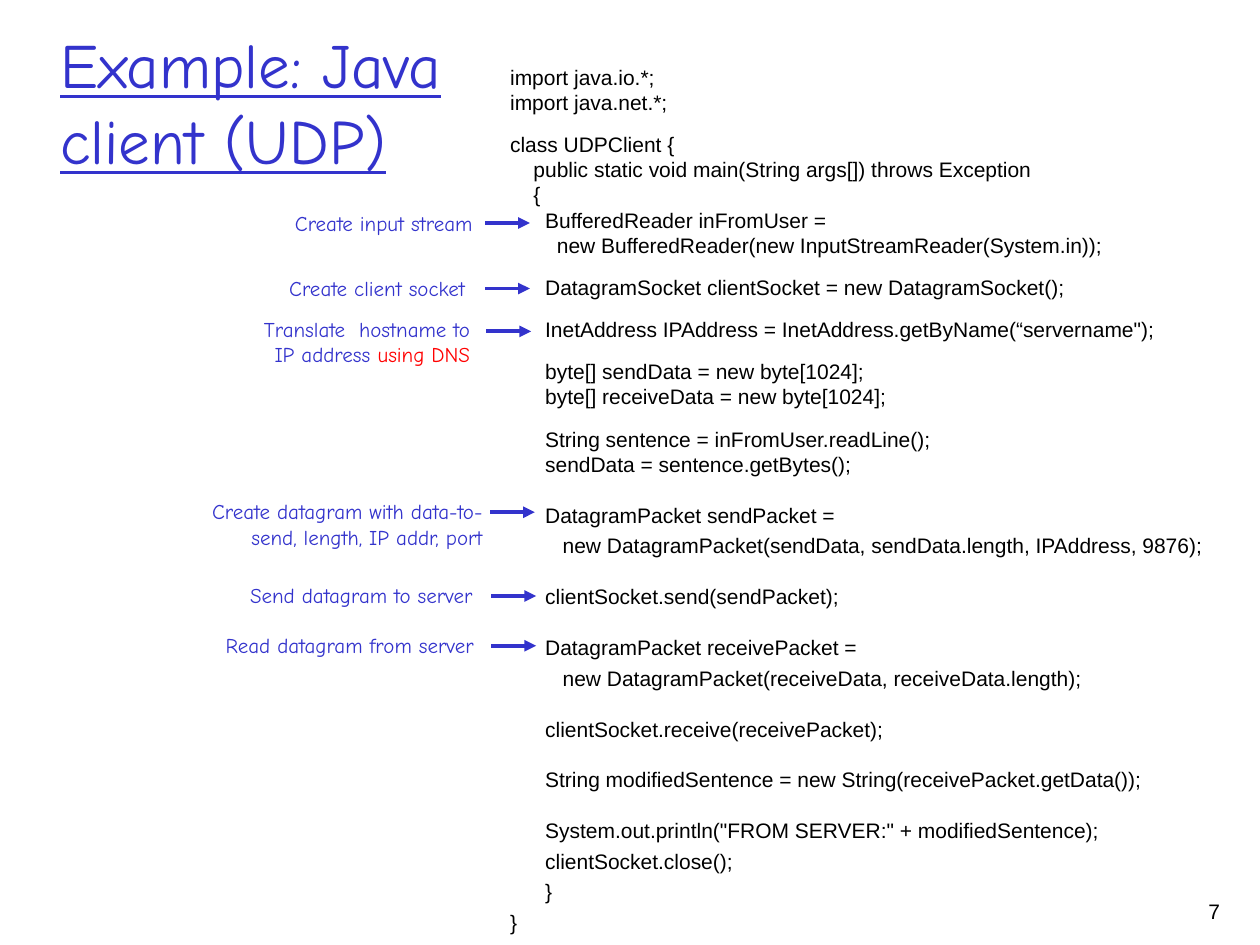
from dataclasses import dataclass

from lxml.etree import SubElement
from pptx import Presentation
from pptx.dml.color import RGBColor
from pptx.enum.shapes import MSO_CONNECTOR
from pptx.enum.text import MSO_ANCHOR, MSO_AUTO_SIZE, PP_ALIGN
from pptx.oxml.ns import qn
from pptx.util import Inches, Pt

BLUE, RED, BLACK = "3333CC", "FF0000", "000000"
COMIC, ARIAL = "Comic Neue", "Arial"
COLS, ROWS = 100, 75
SIZE = 12          # text size of code and notes
LEAD = 14.4        # line pitch of the code
SPACE = 3.34       # width of one space of indent

# The code up to the first send is set tight, the rest is set loose.
TIGHT = """import java.io.*;
import java.net.*;

class UDPClient {
    public static void main(String args[]) throws Exception
    {
      BufferedReader inFromUser =
        new BufferedReader(new InputStreamReader(System.in));

      DatagramSocket clientSocket = new DatagramSocket();

      InetAddress IPAddress = InetAddress.getByName(“servername");

      byte[] sendData = new byte[1024];
      byte[] receiveData = new byte[1024];

      String sentence = inFromUser.readLine();
      sendData = sentence.getBytes();"""

LOOSE = """
      DatagramPacket sendPacket =
         new DatagramPacket(sendData, sendData.length, IPAddress, 9876);

      clientSocket.send(sendPacket);

      DatagramPacket receivePacket =
         new DatagramPacket(receiveData, receiveData.length);

      clientSocket.receive(receivePacket);

      String modifiedSentence = new String(receivePacket.getData());

      System.out.println("FROM SERVER:" + modifiedSentence);
      clientSocket.close();
      }
}"""


@dataclass
class Box:
    col: float
    row: float
    wide: float
    high: float


@dataclass
class Note:
    lines: list[str]
    box: Box
    start: float       # column where the arrow starts
    row: float         # row of the arrow
    wrap: bool = False
    hot: str = ""      # closing words set in red


NOTES = [
    Note(["Create input stream"], Box(19.8, 16.2, 18.7, 3), 38.5, 17.7, True),
    Note(["Create client socket"], Box(21.8, 21.4, 16.1, 3), 38.5, 22.9),
    Note(["Translate  hostname to", "IP address "], Box(19.8, 24.6, 18.5, 5),
         38.6, 26.3, hot="using DNS"),
    Note(["Create datagram with data-to-send, length, IP addr, port"],
         Box(13.1, 39.1, 26.2, 5), 38.9, 40.65, True),
    Note(["Send datagram to server"], Box(18.7, 45.7, 19.8, 3), 39, 47.3),
    Note(["Read datagram from server"], Box(16.7, 49.7, 21.9, 3), 39, 51.25),
]
REACH = 3.55           # columns that each arrow spans

deck = Presentation()
deck.slide_width, deck.slide_height = Inches(10), Inches(7.5)
slide = deck.slides.add_slide(deck.slide_layouts[6])


def across(cols: float) -> int:
    return round(deck.slide_width * cols / COLS)


def down(rows: float) -> int:
    return round(deck.slide_height * rows / ROWS)


def paint(color, code: str) -> None:
    color.rgb = RGBColor.from_string(code)


def style(run, face: str, code: str, size: float = SIZE) -> None:
    run.font.name, run.font.size = face, Pt(size)
    paint(run.font.color, code)


def write(text: str, box: Box, face: str, code: str, size: float = SIZE,
          align=PP_ALIGN.LEFT, anchor=MSO_ANCHOR.MIDDLE):
    shape = slide.shapes.add_textbox(across(box.col), down(box.row),
                                     across(box.wide), down(box.high))
    frame = shape.text_frame
    frame.word_wrap, frame.vertical_anchor = True, anchor
    frame.text = text
    for para in frame.paragraphs:
        para.alignment = align
        for run in para.runs:
            style(run, face, code, size)
    return shape


def listing(box: Box) -> None:
    """Turn leading spaces into indents and empty lines into space before."""
    rows = []
    gap = 0
    for part, extra, blank in ((TIGHT, 0, 9.7), (LOOSE, 3, 11.7)):
        for line in part.split("\n"):
            if not line:
                gap = blank
                continue
            body = line.lstrip()
            rows.append((body, len(line) - len(body), gap + extra))
            gap = 0
    shape = write("\n".join(body for body, _, _ in rows), box, ARIAL, BLACK,
                  anchor=MSO_ANCHOR.TOP)
    for para, (_, depth, before) in zip(shape.text_frame.paragraphs, rows):
        para.line_spacing, para.space_before = Pt(LEAD), Pt(before)
        props = para._p.get_or_add_pPr()
        props.set("marL", str(Pt(depth * SPACE)))
        props.set("indent", "0")


def arrow(note: Note, shape) -> None:
    line = slide.shapes.add_connector(
        MSO_CONNECTOR.STRAIGHT, across(note.start), down(note.row),
        across(note.start + REACH), down(note.row))
    box = note.box
    gap = abs(box.col + box.wide - note.start)
    if gap < 0.01 and abs(box.row + box.high / 2 - note.row) < 0.01:
        line.begin_connect(shape, 3)
    paint(line.line.color, BLUE)
    line.line.width = Pt(2.25)
    SubElement(line.line._get_or_add_ln(), qn("a:tailEnd"), type="triangle")
    SubElement(line._element.spPr, qn("a:effectLst"))


def label(note: Note) -> None:
    shape = write("\n".join(note.lines), note.box, COMIC, BLUE,
                  align=PP_ALIGN.RIGHT)
    frame = shape.text_frame
    frame.word_wrap, frame.auto_size = note.wrap, MSO_AUTO_SIZE.SHAPE_TO_FIT_TEXT
    if note.hot:
        run = frame.paragraphs[-1].add_run()
        run.text = note.hot
        style(run, COMIC, RED)
    arrow(note, shape)


title = write("Example: Java\vclient (UDP)", Box(3.8, 1.8, 85, 12.5),
              COMIC, BLUE, 36)
for run in title.text_frame.paragraphs[0].runs:
    run.font.underline = True
listing(Box(39.5, 4.6, 58.9, 69.9))
for note in NOTES:
    label(note)
write("7", Box(90.4, 70.8, 7.4, 3.5), ARIAL, BLACK,
      align=PP_ALIGN.RIGHT, anchor=MSO_ANCHOR.TOP)
deck.save("out.pptx")
